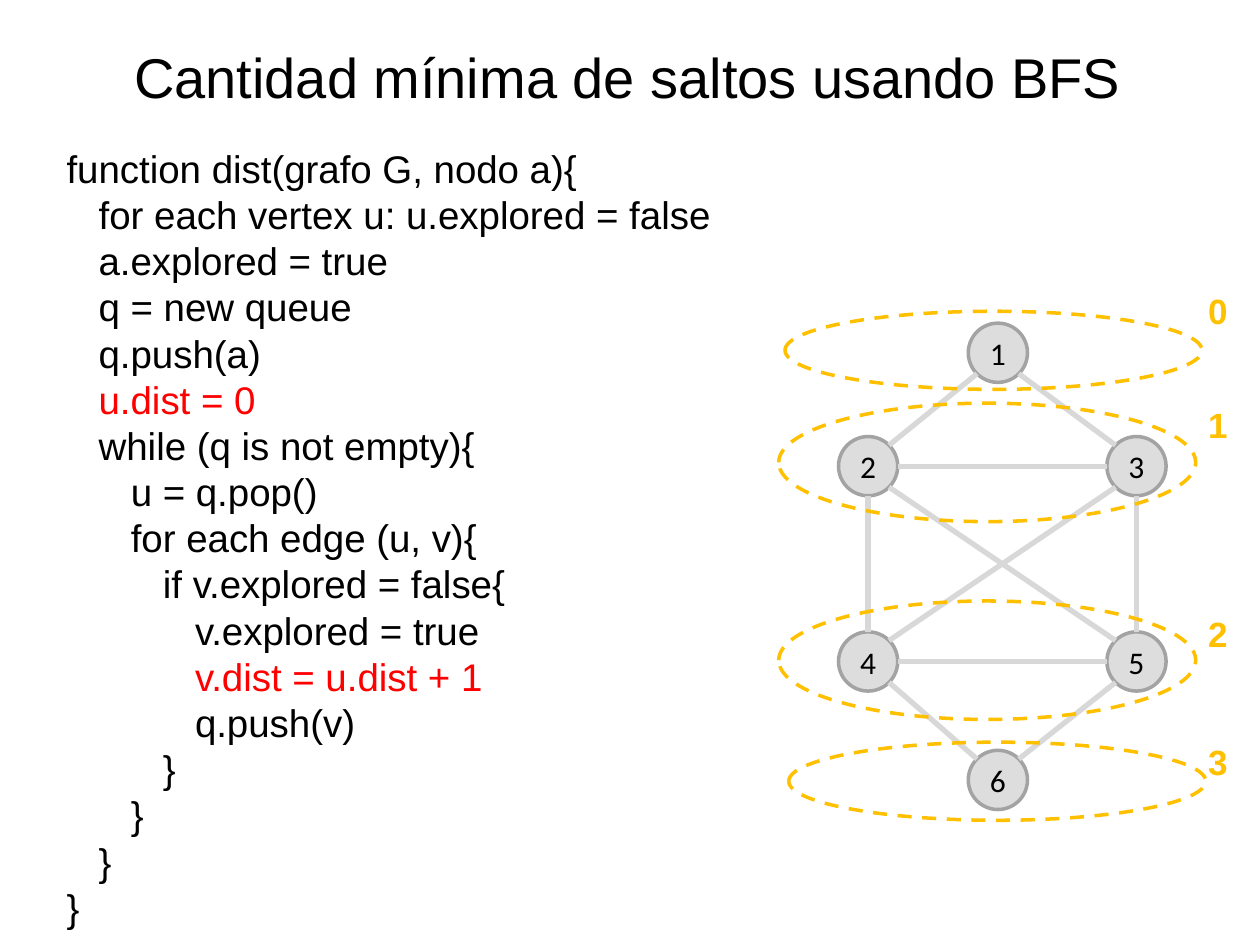
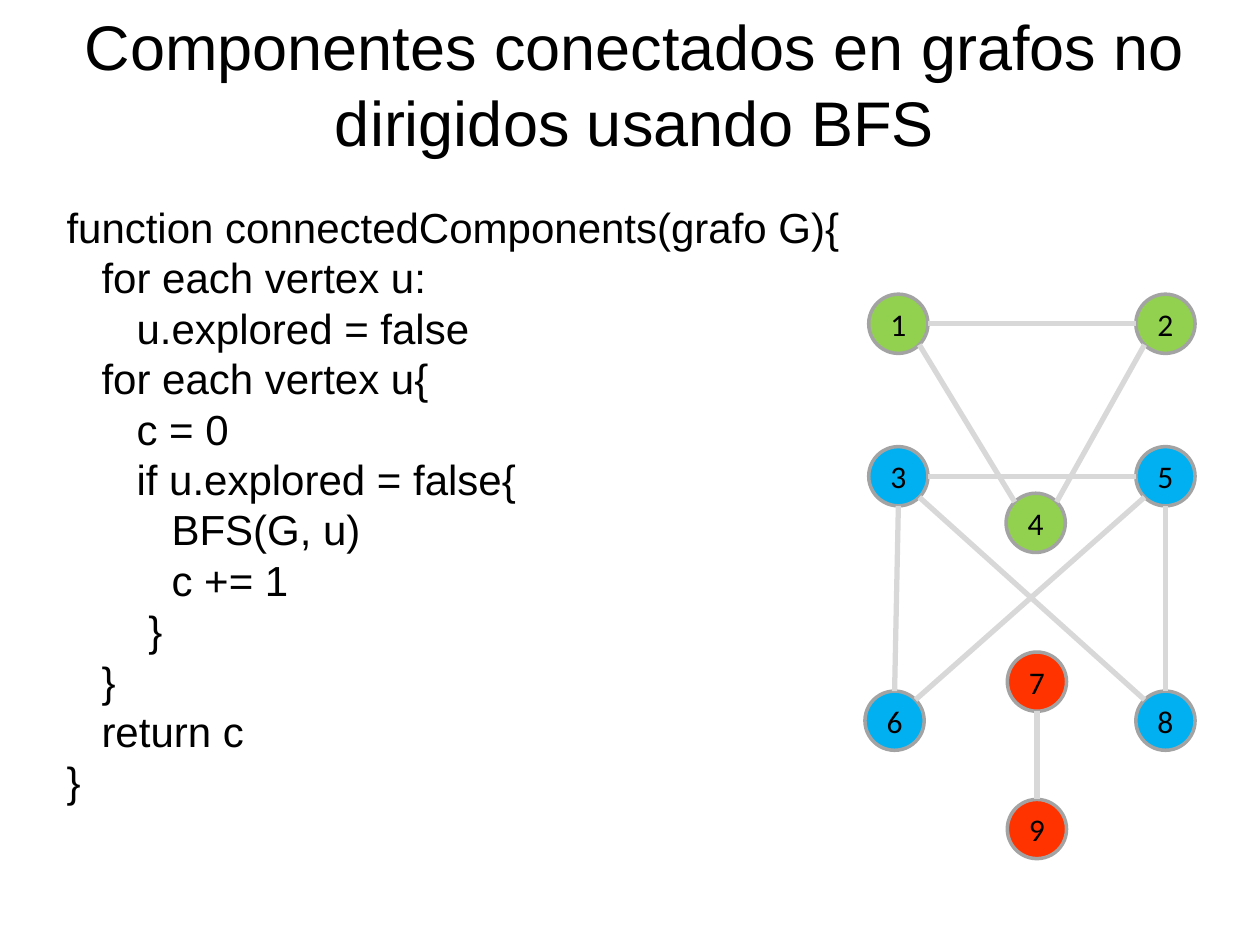
from dataclasses import dataclass
from math import copysign, sqrt

from lxml.etree import SubElement
from pptx import Presentation
from pptx.dml.color import RGBColor
from pptx.enum.dml import MSO_LINE
from pptx.enum.shapes import MSO_CONNECTOR, MSO_SHAPE
from pptx.enum.text import MSO_ANCHOR, PP_ALIGN
from pptx.oxml.ns import qn
from pptx.util import Inches, Pt


@dataclass(frozen=True)
class Theme:
    text_font: str = "Arial"
    node_font: str = "Calibri"
    text: str = "000000"
    highlight: str = "FF0000"
    node_line: str = "A3A3A3"
    edge: str = "D8D8D8"
    level: str = "FFC000"
    gray: str = "DDDDDD"
    green: str = "92D050"
    blue: str = "00B0F0"
    red: str = "FF3300"
    node_size: int = 18
    level_size: int = 20
    outline: int = 2
    edge_width: int = 3
    line_height: float = 1.2
    space_width: float = 0.278


THEME = Theme()
LEFT = 0.43
TITLE_TOP = 0.13
NODE_DIAMETER = 0.47
LEVEL_WIDTH = 3.31
LABEL_LEFT = 9.49

SLIDES = [
    {
        "title": ("Cantidad mínima de saltos usando BFS", 9.11, 0.79, 32),
        "code_box": (1.1, 8.98, 6.28, 22),
        "code": [
            (0, "function dist(grafo G, nodo a){"),
            (3, "for each vertex u: u.explored = false"),
            (3, "a.explored = true"),
            (3, "q = new queue"),
            (3, "q.push(a)"),
            (3, "u.dist = 0"),
            (3, "while (q is not empty){"),
            (6, "u = q.pop()"),
            (6, "for each edge (u, v){"),
            (9, "if v.explored = false{"),
            (12, "v.explored = true"),
            (12, "v.dist = u.dist + 1"),
            (12, "q.push(v)"),
            (9, "}"),
            (6, "}"),
            (3, "}"),
            (0, "}"),
        ],
        "highlighted": {"u.dist = 0", "v.dist = u.dist + 1"},
        "nodes": {
            1: (7.92, 2.8, THEME.gray),
            2: (6.89, 3.7, THEME.gray),
            3: (9.02, 3.7, THEME.gray),
            4: (6.89, 5.25, THEME.gray),
            5: (9.02, 5.25, THEME.gray),
            6: (7.92, 6.19, THEME.gray),
        },
        "edges": [(2, 1), (3, 4), (3, 1), (4, 2), (6, 5), (2, 3),
                  (6, 4), (5, 3), (2, 5), (4, 5)],
        "levels": [(6.23, 2.47, 0.62, 2.25), (6.18, 3.2, 0.94, 3.15),
                   (6.18, 4.77, 0.94, 4.81), (6.26, 5.89, 0.62, 5.83)],
    },
    {
        "title": ("Componentes conectados en grafos no dirigidos usando BFS",
                  9.21, 1.18, 36),
        "code_box": (1.55, 6.46, 4.8, 24),
        "code": [
            (0, "function connectedComponents(grafo G){"),
            (3, "for each vertex u:"),
            (6, "u.explored = false"),
            (3, "for each vertex u{"),
            (6, "c = 0"),
            (6, "if u.explored = false{"),
            (9, "BFS(G, u)"),
            (9, "c += 1"),
            (7, "}"),
            (3, "}"),
            (3, "return c"),
            (0, "}"),
        ],
        "highlighted": set(),
        "nodes": {
            4: (8.22, 4.15, THEME.green),
            1: (7.13, 2.57, THEME.green),
            2: (9.25, 2.57, THEME.green),
            3: (7.13, 3.78, THEME.blue),
            5: (9.25, 3.78, THEME.blue),
            6: (7.1, 5.72, THEME.blue),
            8: (9.25, 5.72, THEME.blue),
            7: (8.23, 5.41, THEME.red),
            9: (8.23, 6.58, THEME.red),
        },
        "edges": [(1, 4), (2, 4), (1, 2), (5, 6), (6, 3), (8, 5),
                  (3, 8), (7, 9), (3, 5)],
        "levels": [],
    },
]


def color(value):
    return RGBColor.from_string(value)


def style(paragraph, size, font=THEME.text_font, fill=THEME.text, bold=False):
    paragraph.font.size = Pt(size)
    paragraph.font.name = font
    paragraph.font.bold = bold
    paragraph.font.color.rgb = color(fill)


def add_text_box(slide, left, top, width, height):
    box = slide.shapes.add_textbox(*map(Inches, (left, top, width, height)))
    box.text_frame.word_wrap = True
    return box.text_frame


def add_title(slide, text, width, height, size):
    frame = add_text_box(slide, LEFT, TITLE_TOP, width, height)
    frame.vertical_anchor = MSO_ANCHOR.BOTTOM
    paragraph = frame.paragraphs[0]
    paragraph.text = text
    paragraph.alignment = PP_ALIGN.CENTER
    paragraph.line_spacing = Pt(size * THEME.line_height)
    style(paragraph, size)


def add_code(slide, lines, highlighted, top, width, height, size):
    frame = add_text_box(slide, LEFT, top, width, height)
    for index, (spaces, text) in enumerate(lines):
        paragraph = frame.add_paragraph() if index else frame.paragraphs[0]
        paragraph.text = text
        paragraph.alignment = PP_ALIGN.JUSTIFY
        paragraph.line_spacing = Pt(size * THEME.line_height)
        indent = Pt(spaces * THEME.space_width * size)
        paragraph._p.get_or_add_pPr().set("marL", str(indent))
        style(paragraph, size,
              fill=THEME.highlight if text in highlighted else THEME.text)


def add_ellipse(slide, left, top, width, height, line):
    shape = slide.shapes.add_shape(
        MSO_SHAPE.OVAL, *map(Inches, (left, top, width, height)))
    shape.shadow.inherit = False
    shape.line.color.rgb = color(line)
    shape.line.width = Pt(THEME.outline)
    return shape


def add_node(slide, number, x, y, fill):
    radius = NODE_DIAMETER / 2
    shape = add_ellipse(slide, x - radius, y - radius,
                        NODE_DIAMETER, NODE_DIAMETER, THEME.node_line)
    shape.fill.solid()
    shape.fill.fore_color.rgb = color(fill)
    frame = shape.text_frame
    frame.margin_left = frame.margin_right = 0
    frame.margin_top = frame.margin_bottom = 0
    frame.vertical_anchor = MSO_ANCHOR.MIDDLE
    paragraph = frame.paragraphs[0]
    paragraph.text = str(number)
    paragraph.alignment = PP_ALIGN.CENTER
    style(paragraph, THEME.node_size, THEME.node_font)


def add_edge(slide, start, end):
    steps = [0 if abs(b - a) < 0.1 else copysign(1, b - a)
             for a, b in zip(start[:2], end[:2])]
    reach = NODE_DIAMETER / 2 / sqrt(sum(map(abs, steps)))
    begin = [a + reach * step for a, step in zip(start, steps)]
    finish = [b - reach * step for b, step in zip(end, steps)]
    connector = slide.shapes.add_connector(
        MSO_CONNECTOR.STRAIGHT, *map(Inches, begin + finish))
    connector.line.color.rgb = color(THEME.edge)
    connector.line.width = Pt(THEME.edge_width)
    SubElement(connector._element.spPr, qn("a:effectLst"))


def add_level(slide, number, left, top, height, label_top):
    shape = add_ellipse(slide, left, top, LEVEL_WIDTH, height, THEME.level)
    shape.fill.background()
    shape.line.dash_style = MSO_LINE.DASH
    frame = add_text_box(slide, LABEL_LEFT, label_top, 0.39, 0.44)
    paragraph = frame.paragraphs[0]
    paragraph.text = str(number)
    style(paragraph, THEME.level_size, fill=THEME.level, bold=True)


presentation = Presentation()
presentation.slide_width = Inches(10)
presentation.slide_height = Inches(7.5)

for content in SLIDES:
    slide = presentation.slides.add_slide(presentation.slide_layouts[6])
    add_title(slide, *content["title"])
    add_code(slide, content["code"], content["highlighted"], *content["code_box"])
    nodes = content["nodes"]
    for number, node in nodes.items():
        add_node(slide, number, *node)
    for start, end in content["edges"]:
        add_edge(slide, nodes[start], nodes[end])
    for number, level in enumerate(content["levels"]):
        add_level(slide, number, *level)

presentation.save("out.pptx")
